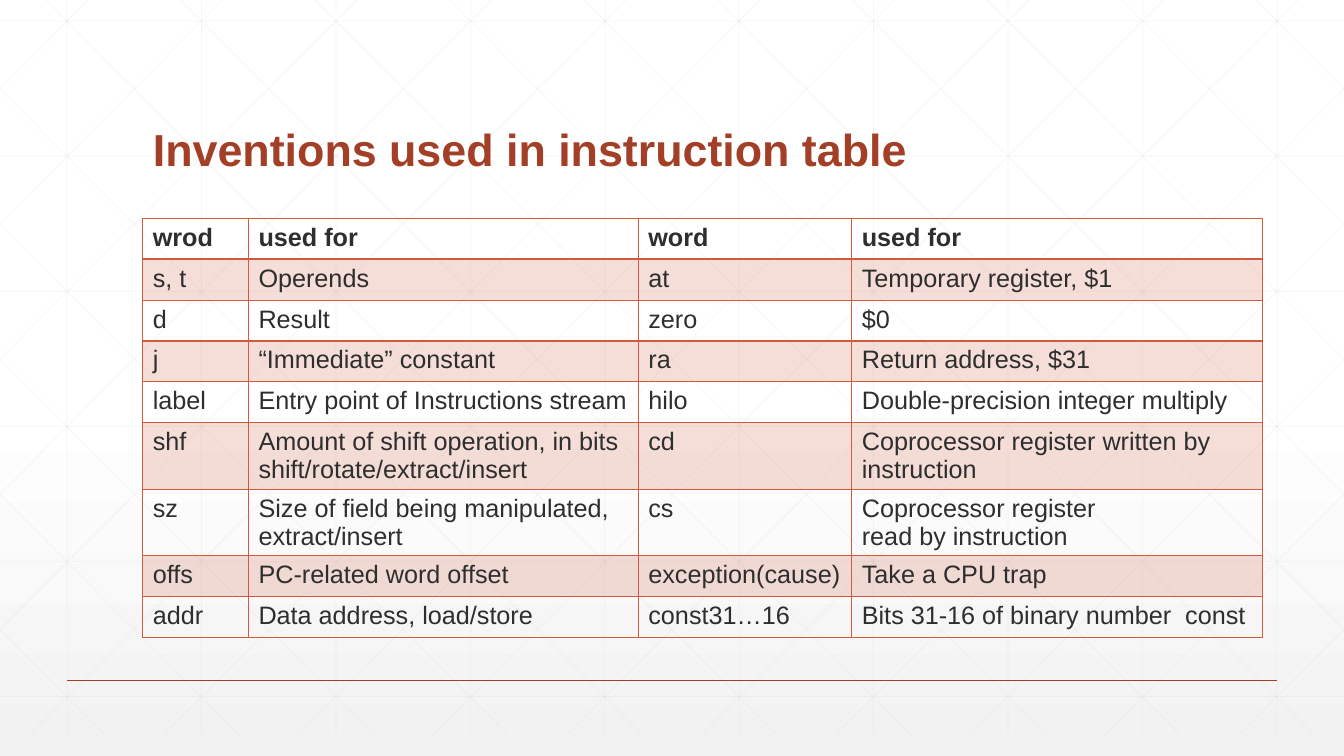
from dataclasses import dataclass

from lxml import etree
from pptx import Presentation
from pptx.dml.color import RGBColor
from pptx.enum.shapes import MSO_CONNECTOR
from pptx.enum.text import MSO_ANCHOR, MSO_AUTO_SIZE, PP_ALIGN
from pptx.oxml.ns import qn
from pptx.util import Pt

STRAIGHT = MSO_CONNECTOR.STRAIGHT
BOTTOM = MSO_ANCHOR.BOTTOM
LEFT = PP_ALIGN.LEFT
NO_FIT = MSO_AUTO_SIZE.NONE


@dataclass(frozen=True)
class Theme:
    font: str = "Arial"
    title_size: int = 32
    table_size: int = 18
    title: str = "A43F27"
    accent: str = "D15A3E"
    text: str = "2D2E2D"
    grid: str = "D9D9D9"
    background_top: str = "FFFFFF"
    background_bottom: str = "F2F2F2"


THEME = Theme()
WIDTH, HEIGHT = 960, 540

ROWS = [
    ("wrod", "used for", "word", "used for"),
    ("s, t", "Operends", "at", "Temporary register, $1"),
    ("d", "Result", "zero", "$0"),
    ("j", "“Immediate” constant", "ra", "Return address, $31"),
    ("label", "Entry point of Instructions stream", "hilo",
     "Double-precision integer multiply"),
    ("shf", "Amount of shift operation, in bits\nshift/rotate/extract/insert", "cd",
     "Coprocessor register written by instruction"),
    ("sz", "Size of field being manipulated,\nextract/insert", "cs",
     "Coprocessor register\nread by instruction"),
    ("offs", "PC-related word offset", "exception(cause)", "Take a CPU trap"),
    ("addr", "Data address, load/store", "const31…16",
     "Bits 31-16 of binary number  const"),
]
COLUMN_WIDTHS = (75.5, 278.5, 152.5, 293.5)
ROW_HEIGHT = 29.2

deck = Presentation()
deck.slide_width, deck.slide_height = Pt(WIDTH), Pt(HEIGHT)
page = deck.slides.add_slide(deck.slide_layouts[5])


def set_alpha(parent, percent):
    color = parent.find(".//" + qn("a:srgbClr"))
    etree.SubElement(color, qn("a:alpha")).set("val", str(percent * 1000))


def add_line(start, end, color, width, alpha=100):
    line = page.shapes.add_connector(STRAIGHT, *(Pt(value) for value in (*start, *end)))
    line.line.color.rgb = RGBColor.from_string(color)
    line.line.width = Pt(width)
    properties = line.element.spPr
    if alpha < 100:
        set_alpha(properties, alpha)
    etree.SubElement(properties, qn("a:effectLst"))


# Background gradient
background = page.background.fill
background.gradient()
background.gradient_angle = 270
stops = background.gradient_stops
for stop, position, color in zip(stops, (0.53, 1),
                                 (THEME.background_top, THEME.background_bottom)):
    stop.position = position
    stop.color.rgb = RGBColor.from_string(color)

# Grid: verticals, horizontals, then diagonals cut off at the slide's sides
TOP, BASE = -15, 525
RUN = 537
SLOPE = (BASE - TOP) / RUN
grid_lines = [((48 + 96 * i, TOP), (48 + 96 * i, BASE)) for i in range(10)]
grid_lines += [((0, 15 + 96.5 * i), (WIDTH, 15 + 96.5 * i)) for i in range(6)]
for i in range(-5, 10):
    origin = 18 + 96 * i
    left, right = max(origin, 0), min(origin + RUN, WIDTH)
    upper, lower = (TOP + (x - origin) * SLOPE for x in (left, right))
    grid_lines.append(((left, upper), (right, lower)))
    grid_lines.append(((WIDTH - left, upper), (WIDTH - right, lower)))
for start, end in grid_lines:
    add_line(start, end, THEME.grid, 0.5, alpha=25)

# Footer rule
add_line((48, 486), (912, 486), THEME.title, 1)

# Title, brought in front of the grid
title = page.shapes.title
title.element.getparent().append(title.element)
title.left, title.top, title.width, title.height = Pt(102), Pt(39.5), Pt(756), Pt(90)
frame = title.text_frame
frame.text = "Inventions used in instruction table"
frame.vertical_anchor = BOTTOM
frame.auto_size = NO_FIT
frame.word_wrap = True
para = frame.paragraphs[0]
para.alignment = LEFT
para.line_spacing = 0.9
para.font.name = THEME.font
para.font.size = Pt(THEME.title_size)
para.font.bold = True
para.font.color.rgb = RGBColor.from_string(THEME.title)

# Instruction table
table = page.shapes.add_table(len(ROWS), len(COLUMN_WIDTHS), Pt(102), Pt(156),
                              Pt(sum(COLUMN_WIDTHS)), Pt(ROW_HEIGHT * len(ROWS))).table
table.first_row = False
table.horz_banding = False
for column, width in zip(table.columns, COLUMN_WIDTHS):
    column.width = Pt(width)
for row_index, words in enumerate(ROWS):
    table.rows[row_index].height = Pt(ROW_HEIGHT)
    for column_index, words_in_cell in enumerate(words):
        cell = table.cell(row_index, column_index)
        cell.text = words_in_cell
        for para in cell.text_frame.paragraphs:
            para.font.name = THEME.font
            para.font.size = Pt(THEME.table_size)
            para.font.bold = row_index == 0
            para.font.color.rgb = RGBColor.from_string(THEME.text)

        # Borders, heavier under the header
        properties = cell._tc.get_or_add_tcPr()
        for side in ("L", "R", "T", "B"):
            under_header = (row_index, side) in ((0, "B"), (1, "T"))
            border = etree.SubElement(properties, qn("a:ln" + side))
            border.set("w", str(Pt(2 if under_header else 1)))
            solid = etree.SubElement(border, qn("a:solidFill"))
            etree.SubElement(solid, qn("a:srgbClr")).set("val", THEME.accent)

        # Tinted bands
        if row_index % 2:
            cell.fill.solid()
            cell.fill.fore_color.rgb = RGBColor.from_string(THEME.accent)
            set_alpha(properties.find(qn("a:solidFill")), 20)
        else:
            cell.fill.background()

deck.save("out.pptx")
